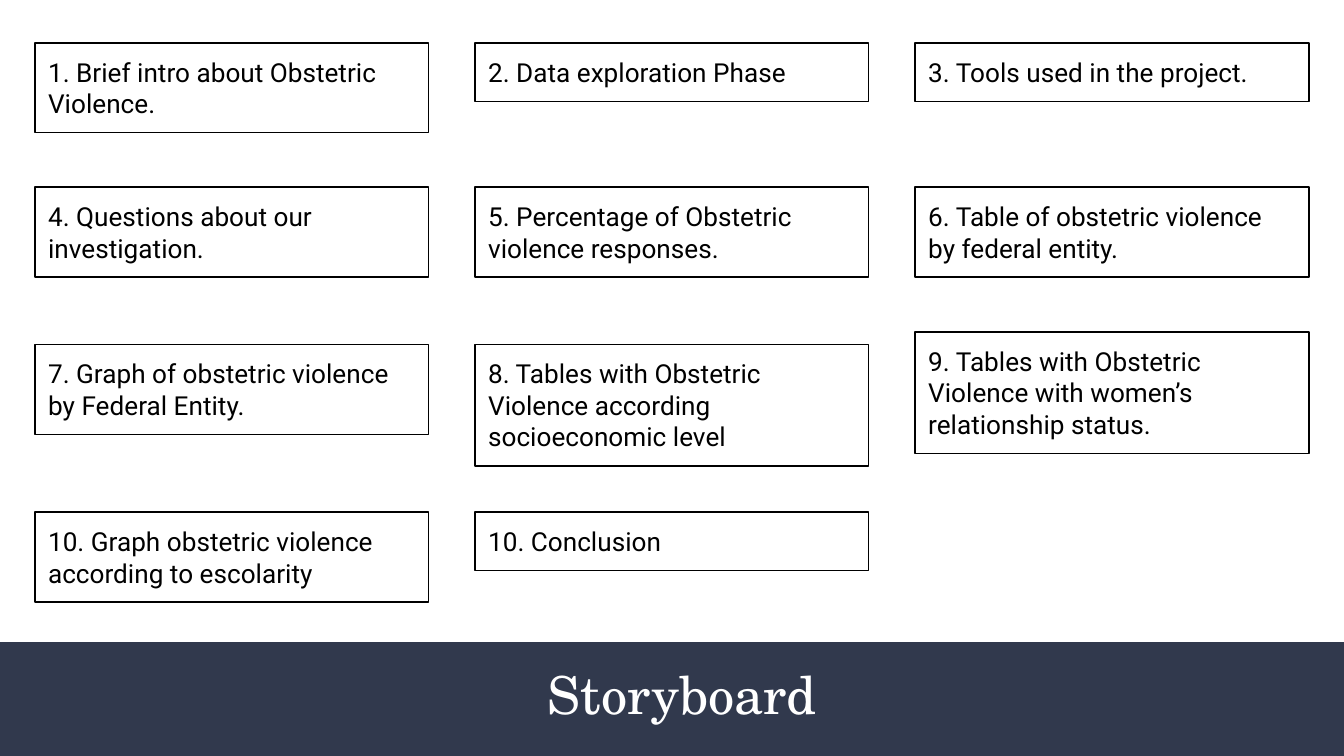
from pptx import Presentation
from pptx.dml.color import RGBColor
from pptx.enum.shapes import MSO_SHAPE
from pptx.enum.text import MSO_ANCHOR, MSO_AUTO_SIZE, PP_ALIGN
from pptx.util import Pt

TITLE = "Storyboard"
# Each step: text, number of lines, upward shift
ROWS = [
    (23, [("1. Brief intro about Obstetric Violence.", 2, 0),
          ("2. Data exploration Phase", 1, 0),
          ("3. Tools used in the project.", 1, 0)]),
    (100.3, [("4. Questions about our investigation.", 2, 0),
             ("5. Percentage of Obstetric violence responses.", 2, 0),
             ("6. Table of obstetric violence by federal entity.", 2, 0)]),
    (184.5, [("7. Graph of obstetric violence by Federal Entity.", 2, 0),
             ("8. Tables with Obstetric Violence according socioeconomic level", 3, 0),
             ("9. Tables with Obstetric Violence with women’s relationship status.", 3, 6.7)]),
    (274.4, [("10. Graph obstetric violence according to escolarity", 2, 0),
             ("10. Conclusion", 1, 0)]),
]
COLORS = {"band": "31394D", "title": "FFFFFF", "ink": "000000"}
WIDTH, HEIGHT, BAND_TOP = 720, 405, 344
LEFT, PITCH, BOX_WIDTH = 18.7, 235.75, 211
INSET, LINE_HEIGHT = 7.2, 16.9


def color(name):
    return RGBColor.from_string(COLORS[name])


def set_frame(frame, text, font_name, size, color_name, align, anchor):
    """Fill a text frame with one paragraph in one style."""
    frame.word_wrap = True
    frame.vertical_anchor = anchor
    frame.margin_left = frame.margin_right = Pt(INSET)
    frame.margin_top = frame.margin_bottom = Pt(INSET)
    paragraph = frame.paragraphs[0]
    paragraph.text = text
    paragraph.alignment = align
    paragraph.font.name = font_name
    paragraph.font.size = Pt(size)
    paragraph.font.color.rgb = color(color_name)


def add_rectangle(slide, left, top, width, height):
    shape = slide.shapes.add_shape(
        MSO_SHAPE.RECTANGLE, Pt(left), Pt(top), Pt(width), Pt(height))
    shape.shadow.inherit = False
    return shape


def add_band(slide):
    band = add_rectangle(slide, 0, BAND_TOP, WIDTH, HEIGHT - BAND_TOP)
    band.fill.solid()
    band.fill.fore_color.rgb = color("band")
    band.line.fill.background()
    slide.shapes.element.insert(2, band.element)


def add_title(slide):
    title = slide.shapes.title
    title.left, title.top, title.width, title.height = map(Pt, (30, 347, 671, 49))
    set_frame(title.text_frame, TITLE, "TeX Gyre Schola", 28, "title",
              PP_ALIGN.CENTER, MSO_ANCHOR.MIDDLE)
    title.text_frame.auto_size = MSO_AUTO_SIZE.NONE


def add_step(slide, column, top, text, lines):
    box = add_rectangle(slide, LEFT + column * PITCH, top, BOX_WIDTH,
                        2 * INSET + lines * LINE_HEIGHT)
    box.fill.background()
    box.line.color.rgb = color("ink")
    box.line.width = Pt(0.75)
    set_frame(box.text_frame, text, "Roboto", 14, "ink",
              PP_ALIGN.LEFT, MSO_ANCHOR.TOP)
    box.text_frame.auto_size = MSO_AUTO_SIZE.SHAPE_TO_FIT_TEXT


def main():
    presentation = Presentation()
    presentation.slide_width, presentation.slide_height = Pt(WIDTH), Pt(HEIGHT)
    slide = presentation.slides.add_slide(presentation.slide_layouts[5])
    add_band(slide)
    add_title(slide)
    for top, steps in ROWS:
        for column, (text, lines, shift) in enumerate(steps):
            add_step(slide, column, top - shift, text, lines)
    presentation.save("out.pptx")


if __name__ == "__main__":
    main()
